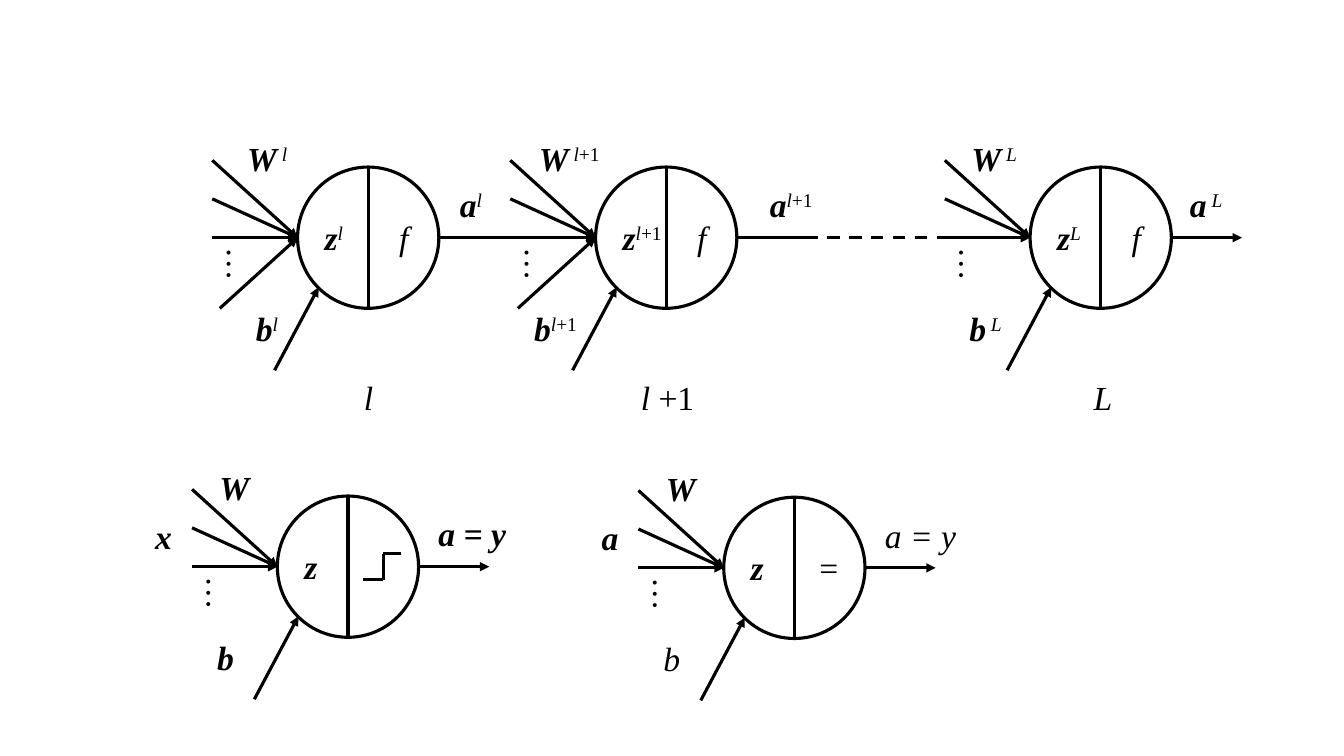
import pptx
import pptx.util
import pptx.dml.color
import pptx.enum.dml
import pptx.enum.shapes
import pptx.enum.text
from dataclasses import dataclass
from pptx.oxml.ns import qn
from pptx.util import Cm
import lxml.etree as etree


@dataclass(frozen=True)
class Theme:
    ink: pptx.dml.color.RGBColor = pptx.dml.color.RGBColor(0, 0, 0)
    font: str = "Times New Roman"
    size: pptx.util.Pt = pptx.util.Pt(24)
    line: pptx.util.Pt = pptx.util.Pt(2.25)


THEME = Theme()
RADIUS = 1.78
TEXT_H = 1.28
# Starts of the weight arrows, measured from the left end of the circle
TOP, UPPER, MIDDLE, LOWER = (-2.15, -1.95), (-2.15, -0.98), (-2.15, 0), (-1.96, 1.78)
# Label tops, measured from the centre line
W_TOP, A_TOP, Z_TOP, B_TOP, NAME_TOP, IN_TOP = -2.64, -1.47, -0.65, 1.64, 3.39, -1.4

# Marks: b bold, i italic, ^ raised
SUP_L = [("l", "i^")]
SUP_NEXT = [("l", "i^"), ("+1", "^")]
SUP_LAST = [("L", "i^")]
GAP = [(" ", "i^")]
F_LABEL = ([("f", "i")], 2.31, Z_TOP, 0.74)


def bold(text, sup=()):
    return [(text, "bi"), *sup]


# Each neuron: left end, centre line, weight arrows, labels (runs, dx, dy, width)
LAYERS = [
    (7.5, 5.99, [TOP, UPPER, MIDDLE, LOWER], [
        (bold("W", GAP + SUP_L), -1.52, W_TOP, 1.65),
        (bold("z", SUP_L), 0.43, Z_TOP, 1.02),
        F_LABEL,
        (bold("a", SUP_L), 3.84, A_TOP, 1.09),
        (bold("b", SUP_L), -1.3, B_TOP, 1.09)]),
    (15.01, 5.99, [TOP, UPPER, LOWER], [
        (bold("W", GAP + SUP_NEXT), -1.68, W_TOP, 2.26),
        (bold("z", SUP_NEXT), 0.43, Z_TOP, 1.6),
        F_LABEL,
        (bold("a", SUP_NEXT), 4.14, A_TOP, 1.7),
        (bold("b", SUP_NEXT), -1.8, B_TOP, 1.7)]),
    (25.96, 5.99, [TOP, UPPER, MIDDLE], [
        (bold("W", GAP + SUP_LAST), -1.73, W_TOP, 1.83),
        (bold("z", SUP_LAST), 0.43, Z_TOP, 1.17),
        F_LABEL,
        (bold("a", GAP + SUP_LAST), 3.78, A_TOP, 1.5),
        (bold("b", GAP + SUP_LAST), -1.78, B_TOP, 1.5)]),
]
SINGLES = [
    (6.99, 14.28, [TOP, UPPER, MIDDLE], [
        (bold("W"), -1.71, W_TOP, 1.27),
        (bold("z"), 0.43, Z_TOP, 0.84),
        (bold("a = y"), 3.81, A_TOP, 2.24),
        (bold("b"), -1.77, B_TOP, 0.94),
        (bold("x"), -3.33, IN_TOP, 0.94)]),
    (18.24, 14.31, [TOP, UPPER, MIDDLE], [
        (bold("W"), -1.71, W_TOP, 1.27),
        (bold("z"), 0.43, Z_TOP, 0.84),
        ([("=", "")], 2.16, Z_TOP, 0.99),
        ([("a = y", "i")], 3.81, A_TOP, 2.34),
        ([("b", "i")], -1.77, B_TOP, 0.94),
        (bold("a"), -3.33, IN_TOP, 0.94)]),
]
NAMES = [
    ([("l", "i")], 1.42, NAME_TOP, 0.74),
    ([("l ", "i"), ("+1", "")], 0.89, NAME_TOP, 2.16),
    ([("L", "i")], 1.35, NAME_TOP, 2.16),
]


def stroke(slide, x1, y1, x2, y2, arrow=False, dash=False):
    kind = pptx.enum.shapes.MSO_CONNECTOR.STRAIGHT
    link = slide.shapes.add_connector(kind, Cm(x1), Cm(y1), Cm(x2), Cm(y2))
    link.line.color.rgb = THEME.ink
    link.line.width = THEME.line
    if dash:
        link.line.dash_style = pptx.enum.dml.MSO_LINE.DASH
    if arrow:
        etree.SubElement(link.line._get_or_add_ln(), qn("a:tailEnd"), type="triangle")
    etree.SubElement(link._element.spPr, qn("a:effectLst"))


def label(slide, runs, x, y, width, wrap=False, turn=0):
    box = slide.shapes.add_textbox(Cm(x), Cm(y), Cm(width), Cm(TEXT_H))
    box.rotation = turn
    frame = box.text_frame
    frame.word_wrap = wrap
    frame.auto_size = pptx.enum.text.MSO_AUTO_SIZE.SHAPE_TO_FIT_TEXT
    for text, marks in runs:
        run = frame.paragraphs[0].add_run()
        run.text = text
        run.font.name = THEME.font
        run.font.size = THEME.size
        run.font.color.rgb = THEME.ink
        run.font.bold = "b" in marks
        run.font.italic = "i" in marks
        if "^" in marks:
            run.font._element.set("baseline", "30000")


def neuron(slide, x, y, rays, labels):
    """Split circle with its weight arrows, bias arrow, dots and labels."""
    size = Cm(2 * RADIUS)
    oval = pptx.enum.shapes.MSO_SHAPE.OVAL
    ring = slide.shapes.add_shape(oval, Cm(x), Cm(y - RADIUS), size, size)
    ring.shadow.inherit = False
    ring.fill.background()
    ring.line.color.rgb = THEME.ink
    ring.line.width = THEME.line
    stroke(slide, x + RADIUS, y - RADIUS, x + RADIUS, y + RADIUS)
    for dx, dy in rays:
        stroke(slide, x + dx, y + dy, x, y, arrow=True)
    stroke(slide, x - 0.58, y + 3.34, x + 0.53, y + 1.25, arrow=True)
    label(slide, [("…", "")], x - 2.13, y + 0.05, 1.37, turn=90)
    for runs, dx, dy, width in labels:
        label(slide, runs, x + dx, y + dy, width)


def output(slide, x, y):
    stroke(slide, x + 2 * RADIUS, y, x + 3 * RADIUS, y, arrow=True)


def step(slide, x, y):
    """Step function drawn around a centre."""
    rise = 0.33
    stroke(slide, x - 0.5, y + rise, x, y + rise)
    stroke(slide, x, y + rise, x, y - rise)
    stroke(slide, x, y - rise, x + 0.45, y - rise)


def main():
    deck = pptx.Presentation()
    deck.slide_width, deck.slide_height = Cm(33.87), Cm(19.05)
    slide = deck.slides.add_slide(deck.slide_layouts[6])

    for layer in LAYERS + SINGLES:
        neuron(slide, *layer)
    for (x, y, *_), (runs, dx, dy, width) in zip(LAYERS, NAMES):
        label(slide, runs, x + dx, y + dy, width, wrap=True)
    for x, y, *_ in LAYERS[-1:] + SINGLES:
        output(slide, x, y)

    first, second, last = (layer[0] for layer in LAYERS)
    y = LAYERS[0][1]
    stroke(slide, first + 2 * RADIUS, y, second, y, arrow=True)
    stroke(slide, second + 2 * RADIUS, y, 20.29, y)
    stroke(slide, 20.29, y, last + MIDDLE[0], y, dash=True)

    x, y = SINGLES[0][:2]
    step(slide, x + 1.5 * RADIUS, y)
    deck.save("out.pptx")


if __name__ == "__main__":
    main()
